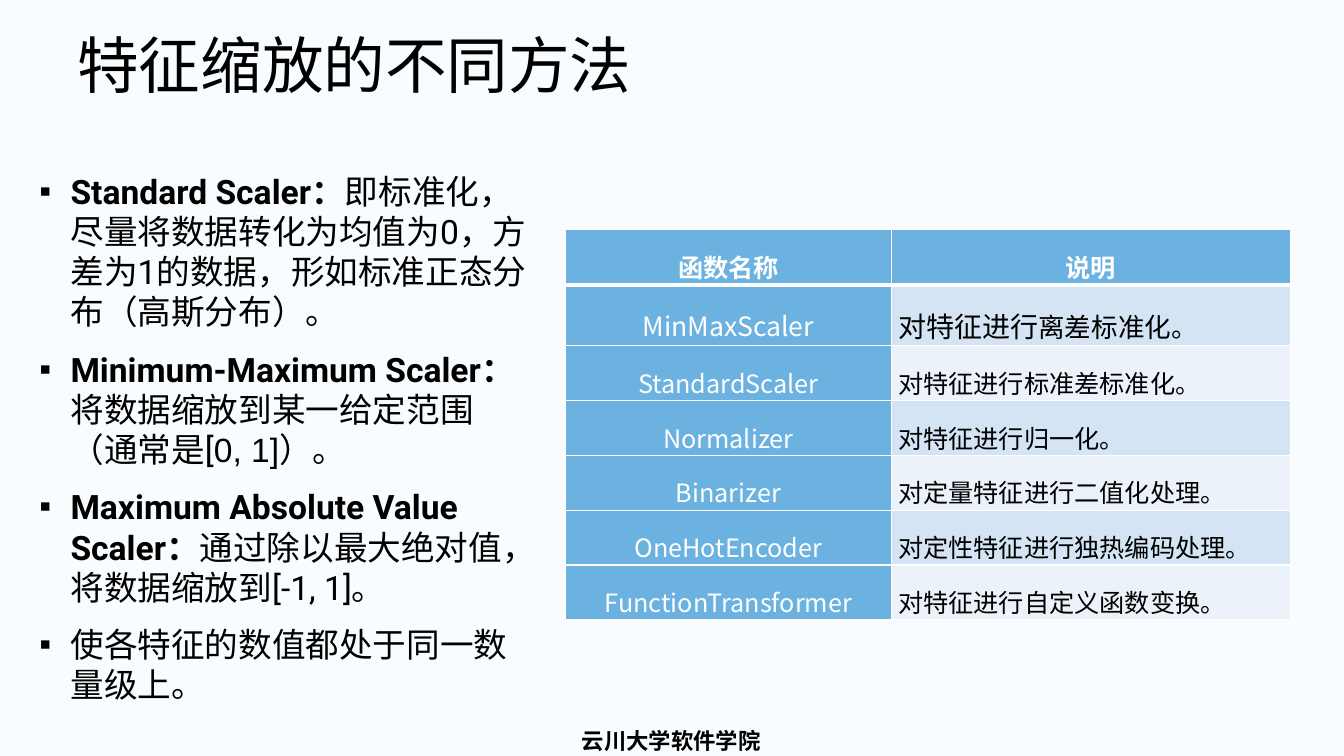
import pptx
import pptx.util
import pptx.dml.color
import pptx.enum.text
import pptx.oxml
import pptx.oxml.ns
from lxml import etree

Pt = pptx.util.Pt
RGB = pptx.dml.color.RGBColor
Align = pptx.enum.text.PP_ALIGN
Anchor = pptx.enum.text.MSO_ANCHOR
Fit = pptx.enum.text.MSO_AUTO_SIZE
qn = pptx.oxml.ns.qn

BLACK = RGB(0x00, 0x00, 0x00)
WHITE = RGB(0xFF, 0xFF, 0xFF)
PAPER = RGB(0xF8, 0xFC, 0xFE)
BLUE = RGB(0x6B, 0xB2, 0xE1)
BANDS = [RGB(0xD4, 0xE4, 0xF4), RGB(0xEB, 0xF2, 0xF9)]

TITLE = "特征缩放的不同方法"
FOOTER = "云川大学软件学院"

# Each bullet: space before, then runs of (text, bold, font)
POINTS = [
    (13, [("Standard Scaler：", True, "Roboto"),
          ("即标准化，尽量将数据转化为均值为0，方差为1的数据，"
           "形如标准正态分布（高斯分布）。", False, "Roboto")]),
    (12, [("Minimum-Maximum Scaler：", True, "Roboto"),
          ("将数据缩放到某一给定范围（通常是[", False, "Roboto"),
          ("0, 1]）。", False, "Arial")]),
    (12, [("Maximum Absolute Value Scaler：", True, "Roboto"),
          ("通过除以最大绝对值，将数据缩放到[-1, 1]。", False, "Roboto")]),
    (12, [("使各特征的数值都处于同一数量级上。", False, "Roboto")]),
]

# Each cell: runs of (text, size)
HEAD = [[("函数名称", 18)], [("说明", 18)]]
ROWS = [
    [[("MinMaxScaler", 19)], [("对特征进行", 20), ("离差标准化。", 19)]],
    [[("StandardScaler", 18)], [("对特征进行标准差标准化。", 18)]],
    [[("Normalizer", 18)], [("对特征进行归一化。", 18)]],
    [[("Binarizer", 18)], [("对定量特征进行二值化处理。", 18)]],
    [[("OneHotEncoder", 18)], [("对定性特征进行独热编码处理。", 18)]],
    [[("FunctionTransformer", 18)], [("对特征进行自定义函数变换。", 18)]],
]

# Row heights that hold one line at 1.5 spacing
HIGH, FIRST = 39.2, 43.5
COLS = [232.6, 285.1]

# Left, top, width, height in points
BOXES = {
    "title": (48, 21.6, 864, 90),
    "body": (26.6, 108.7, 355, 398.2),
    "footer": (355, 516.2, 249, 23.8),
    "table": (404, 164.2, sum(COLS), HIGH * len(ROWS) + FIRST),
}


def apply(item, form):
    for name, value in form.items():
        setattr(item, name, value)


def place(shape, key):
    sides = ("left", "top", "width", "height")
    apply(shape, dict(zip(sides, map(Pt, BOXES[key]))))


def write(para, text, size, face, color=BLACK, bold=False):
    """Add a run, with one typeface for Latin and Chinese."""
    run = para.add_run()
    run.text = text
    apply(run.font, {"size": Pt(size), "name": face, "bold": bold})
    run.font.color.rgb = color
    etree.SubElement(run._r.get_or_add_rPr(), qn("a:ea"), typeface=face)


def bullet(para):
    props = para._p.get_or_add_pPr()
    props.set("marL", str(Pt(23.8)))
    props.set("indent", str(-Pt(22.3)))
    etree.SubElement(props, qn("a:buFont"), typeface="Arial")
    etree.SubElement(props, qn("a:buChar"), char="▪")


def border(cell, widths):
    """Put white lines on the left, right, top and bottom."""
    props = cell._tc.get_or_add_tcPr()
    for spot, (side, width) in enumerate(zip("LRTB", widths)):
        line = etree.Element(qn("a:ln" + side), w=str(Pt(width)))
        fill = etree.SubElement(line, qn("a:solidFill"))
        etree.SubElement(fill, qn("a:srgbClr"), val=str(WHITE))
        props.insert(spot, line)


def add_title(slide):
    title = slide.shapes.title
    place(title, "title")
    apply(title.text_frame, {"vertical_anchor": Anchor.TOP, "word_wrap": True,
                             "auto_size": Fit.NONE})
    para = title.text_frame.paragraphs[0]
    apply(para, {"alignment": Align.LEFT, "line_spacing": 0.9})
    write(para, TITLE, 44, "Calibri")


def add_points(slide):
    body = slide.placeholders[1]
    place(body, "body")
    frame = body.text_frame
    apply(frame, {"margin_left": 0, "margin_right": 0, "margin_bottom": 0,
                  "margin_top": Pt(13), "word_wrap": True,
                  "vertical_anchor": Anchor.TOP,
                  "auto_size": Fit.SHAPE_TO_FIT_TEXT})
    for i, (gap, runs) in enumerate(POINTS):
        para = frame.add_paragraph() if i else frame.paragraphs[0]
        para.space_before = Pt(gap)
        bullet(para)
        for text, bold, face in runs:
            write(para, text, 24, face, bold=bold)


def add_grid(slide):
    rows = [HEAD] + ROWS
    frame = slide.shapes.add_table(len(rows), len(COLS),
                                   *map(Pt, BOXES["table"]))
    table = frame.table
    for col, width in zip(table.columns, COLS):
        col.width = Pt(width)
    for r, row in enumerate(rows):
        table.rows[r].height = Pt(FIRST if r == 1 else HIGH)
        for c, runs in enumerate(row):
            cell = table.cell(r, c)
            head, note = r == 0, r > 0 and c == 1
            apply(cell, {"margin_left": Pt(5), "margin_right": Pt(5),
                         "margin_top": 0, "margin_bottom": 0,
                         "vertical_anchor": Anchor.MIDDLE})
            cell.fill.solid()
            cell.fill.fore_color.rgb = BANDS[(r - 1) % 2] if note else BLUE
            border(cell, (1, 1, 3 if r == 1 else 1, 3 if head else 1))
            para = cell.text_frame.paragraphs[0]
            apply(para, {"alignment": Align.JUSTIFY if note else Align.CENTER,
                         "line_spacing": 1.5})
            for text, size in runs:
                write(para, text, size, "Noto Sans CJK SC",
                      BLACK if note else WHITE, head)


def add_footer(slide):
    box = slide.shapes.add_textbox(*map(Pt, BOXES["footer"]))
    box.text_frame.word_wrap = True
    para = box.text_frame.paragraphs[0]
    para.alignment = Align.CENTER
    write(para, FOOTER, 16, "DejaVu Sans", bold=True)


def main():
    deck = pptx.Presentation()
    apply(deck, {"slide_width": Pt(960), "slide_height": Pt(540)})
    slide = deck.slides.add_slide(deck.slide_layouts[1])
    slide.background.fill.solid()
    slide.background.fill.fore_color.rgb = PAPER
    add_footer(slide)
    add_points(slide)
    add_title(slide)
    add_grid(slide)
    deck.save("out.pptx")


if __name__ == "__main__":
    main()
